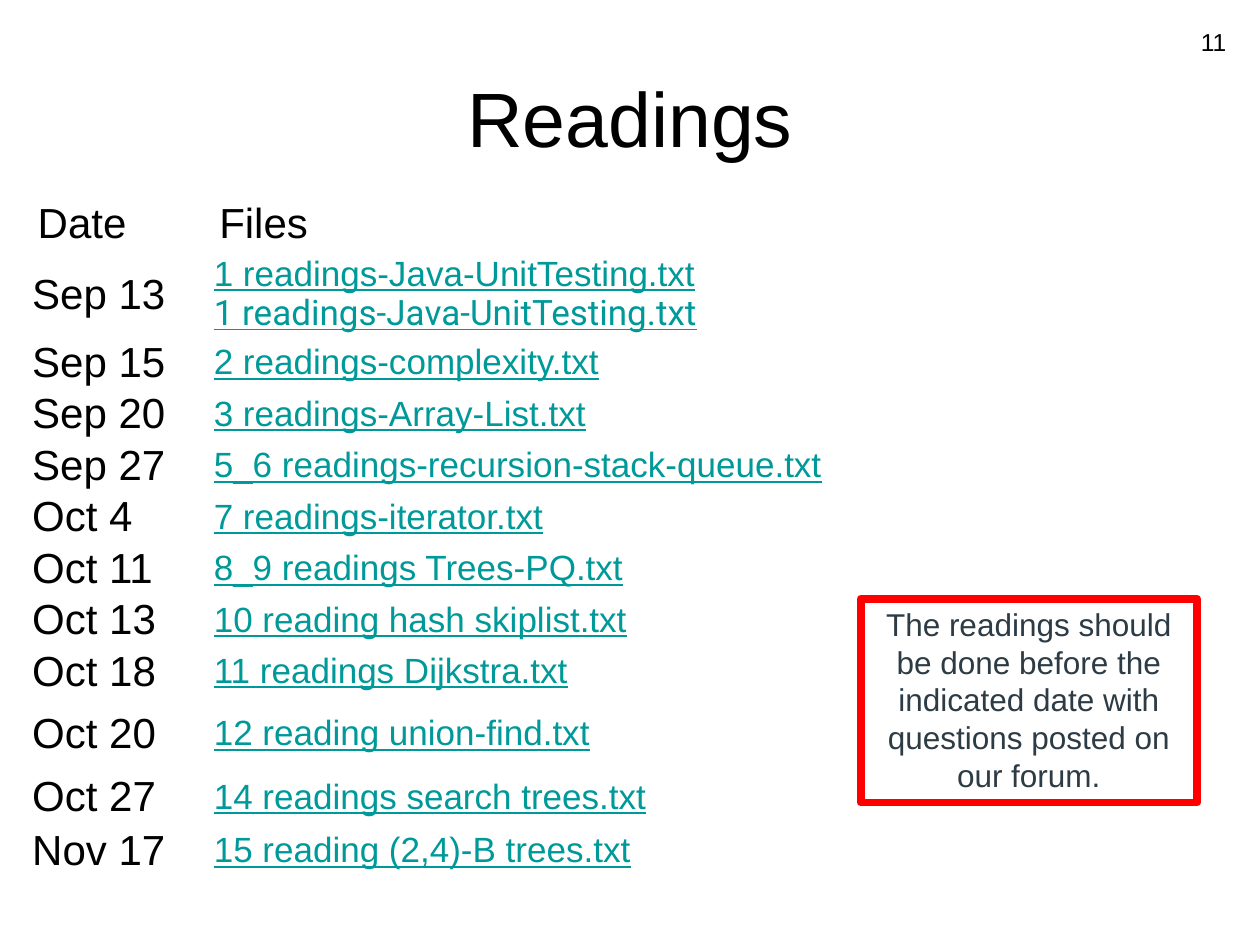
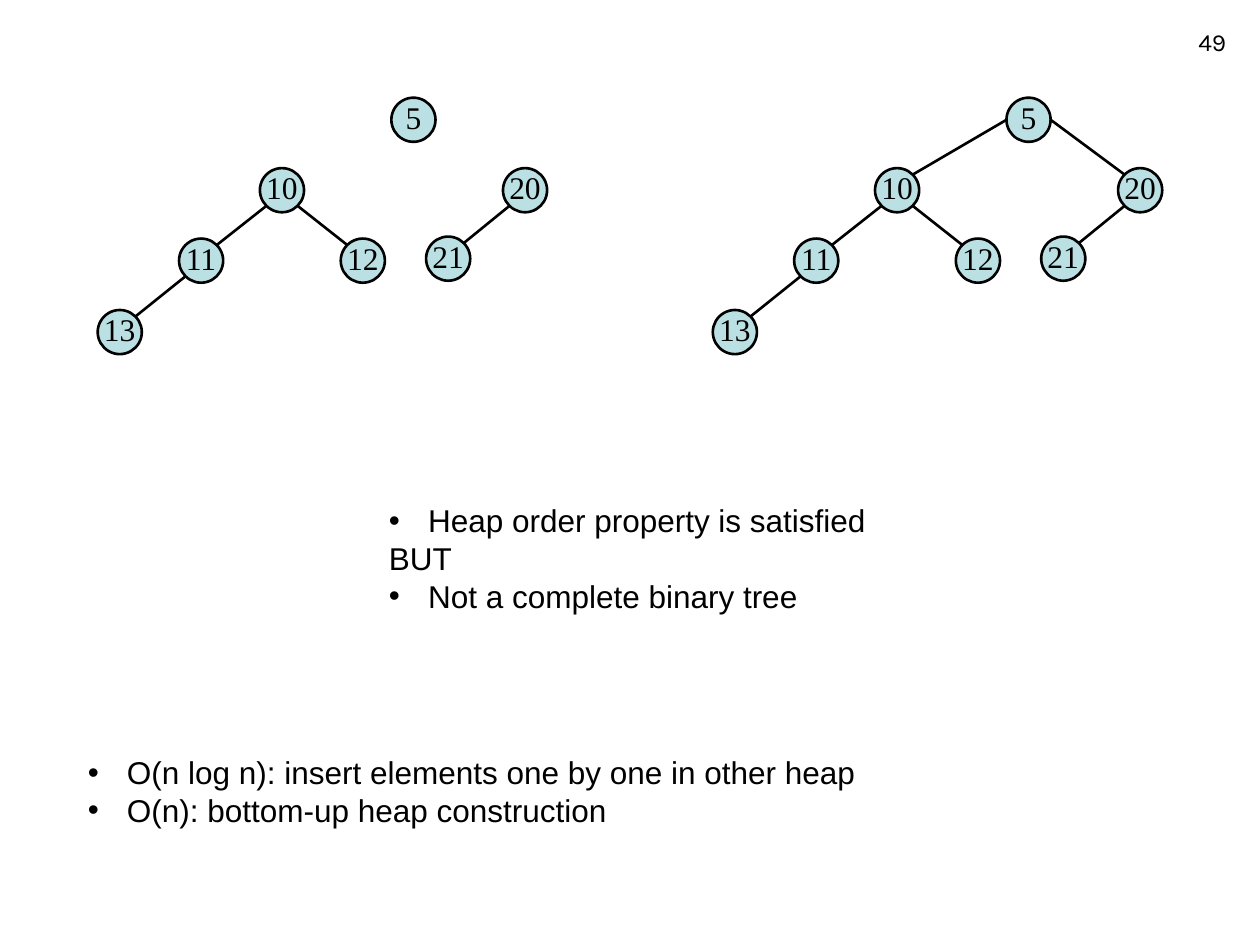
"""Builds two course slides: the reading schedule and a heap merge example."""
from dataclasses import dataclass
from typing import Optional

from lxml import etree
from pptx import Presentation
from pptx import util as u
from pptx.dml.color import RGBColor
from pptx.enum import shapes, text
from pptx.oxml import ns

BLACK, LINK, NODE, RED, SLATE = "000000", "009999", "BBE0E3", "FF0000", "2D3B45"
SANS, SERIF = "Arial", "Times New Roman"
LEFT, CENTER, RIGHT = text.PP_ALIGN.LEFT, text.PP_ALIGN.CENTER, text.PP_ALIGN.RIGHT
TOP, MIDDLE = text.MSO_ANCHOR.TOP, text.MSO_ANCHOR.MIDDLE
PLAIN_TABLE = "{2D5ABB26-0587-4C30-8999-92F81FD0307C}"  # no fill, no grid
DIAMETER = 0.89
INSET = 0.13  # from a node's bounding box to where an edge meets its circle
TREE_SHIFT = 12.4


@dataclass(frozen=True)
class Style:
    """Look of a piece of text."""
    size: float
    color: str = BLACK
    font: str = SANS
    underline: bool = False


@dataclass(frozen=True)
class Reading:
    """One row of the schedule; height in cm."""
    date: str
    files: str
    height: float = 0.99


@dataclass(frozen=True)
class Node:
    """A heap node: key, top-left corner in cm, parent key."""
    key: int
    x: float
    y: float
    parent: Optional[int] = None


BODY, DATE, FILE = Style(18), Style(24), Style(20, LINK, underline=True)

READINGS = [
    Reading("Sep 13", "1 readings-Java-UnitTesting.txt\v1 readings-Java-UnitTesting.txt", 1.68),
    Reading("Sep 15", "2 readings-complexity.txt"),
    Reading("Sep 20", "3 readings-Array-List.txt"),
    Reading("Sep 27", "5_6 readings-recursion-stack-queue.txt"),
    Reading("Oct 4", "7 readings-iterator.txt"),
    Reading("Oct 11", "8_9 readings Trees-PQ.txt"),
    Reading("Oct 13", "10 reading hash skiplist.txt"),
    Reading("Oct 18", "11 readings Dijkstra.txt"),
    Reading("Oct 20", "12 reading union-find.txt", 1.47),
    Reading("Oct 27", "14 readings search trees.txt", 1.08),
    Reading("Nov 17", "15 reading (2,4)-B trees.txt", 1.09),
]

HEAP = [
    Node(5, 7.89, 1.97),
    Node(10, 5.24, 3.39, 5),
    Node(20, 10.14, 3.39, 5),
    Node(11, 3.61, 4.81, 10),
    Node(12, 6.87, 4.81, 10),
    Node(21, 8.59, 4.77, 20),
    Node(13, 1.97, 6.25, 11),
]


def rgb(color: str) -> RGBColor:
    """Turn a hex string into a colour."""
    return RGBColor.from_string(color)


def write(frame, content: str, style: Style, align=LEFT) -> None:
    """Put text in a frame and format every run."""
    frame.text = content
    for paragraph in frame.paragraphs:
        paragraph.alignment = align
        for run in paragraph.runs:
            font = run.font
            font.size, font.name = u.Pt(style.size), style.font
            font.bold, font.underline = False, style.underline
            font.color.rgb = rgb(style.color)


def add_text(slide, box, content: str, style: Style, align=LEFT, anchor=TOP):
    """Add a wrapping text box; box is left, top, width, height in cm."""
    frame = slide.shapes.add_textbox(*map(u.Cm, box)).text_frame
    frame.word_wrap, frame.vertical_anchor = True, anchor
    write(frame, content, style, align)
    return frame


def add_bullet(paragraph) -> None:
    """Give a paragraph a hanging round bullet."""
    properties = paragraph._p.get_or_add_pPr()
    indent = u.Cm(0.79)
    properties.set("marL", str(indent))
    properties.set("indent", str(-indent))
    etree.SubElement(properties, ns.qn("a:buFont"), typeface=SANS)
    etree.SubElement(properties, ns.qn("a:buChar"), char="•")


def add_page(deck, number: int, font: str):
    """Add a blank slide with its number at the top right."""
    slide = deck.slides.add_slide(deck.slide_layouts[6])
    add_text(slide, (19.05, 0.43, 5.92, 1.32), str(number), Style(14, font=font), RIGHT)
    return slide


def fill_cell(cell, content: str, style: Style, side: float, end: float) -> None:
    """Write an unfilled cell with the given side and end margins in cm."""
    cell.fill.background()
    cell.vertical_anchor = MIDDLE
    cell.margin_left = cell.margin_right = u.Cm(side)
    cell.margin_top = cell.margin_bottom = u.Cm(end)
    write(cell.text_frame, content, style)


def add_schedule(slide) -> None:
    """Add the table of dates and files."""
    heading = Reading("Date", "Files", 1.14)
    rows = [heading, *READINGS]
    widths = (3.66, 20.7)
    box = (0.64, 3.94, sum(widths), sum(row.height for row in rows))
    table = slide.shapes.add_table(len(rows), 2, *map(u.Cm, box)).table
    table.first_row = table.horz_banding = False
    table._tbl.tblPr.find(ns.qn("a:tableStyleId")).text = PLAIN_TABLE
    for column, width in zip(table.columns, widths):
        column.width = u.Cm(width)
    for index, row in enumerate(rows):
        table.rows[index].height = u.Cm(row.height)
        is_heading = row is heading
        margins = (0.12, 0.05) if is_heading else (0.01, 0.01)
        fill_cell(table.cell(index, 0), row.date, DATE, *margins)
        fill_cell(table.cell(index, 1), row.files, DATE if is_heading else FILE, *margins)
    repeated_file = table.cell(1, 1).text_frame.paragraphs[0].runs[1]
    repeated_file.font.name = "Roboto"


def add_notice(slide, content: str) -> None:
    """Add the red framed notice."""
    notice = slide.shapes.add_shape(
        shapes.MSO_SHAPE.RECTANGLE, *map(u.Cm, (17.35, 12.07, 6.78, 4.11)))
    notice.shadow.inherit = False
    notice.fill.background()
    notice.line.color.rgb, notice.line.width = rgb(RED), u.Pt(4.5)
    etree.SubElement(notice.line._get_or_add_ln(), ns.qn("a:round"))
    notice.text_frame.word_wrap = True
    notice.text_frame.vertical_anchor = TOP
    write(notice.text_frame, content, Style(18, SLATE), CENTER)


def add_edge(group, parent: Node, child: Node, shift: float) -> None:
    """Join a child to its parent; the root's edges leave from its sides."""
    on_left = child.x < parent.x
    far = DIAMETER - INSET
    start = (child.x + (far if on_left else INSET), child.y + INSET)
    if parent.parent is None:
        end = (parent.x + (0 if on_left else DIAMETER), parent.y + DIAMETER / 2)
    else:
        end = (parent.x + (INSET if on_left else far), parent.y + far)
    edge = group.shapes.add_connector(
        shapes.MSO_CONNECTOR.STRAIGHT,
        u.Cm(start[0] + shift), u.Cm(start[1]), u.Cm(end[0] + shift), u.Cm(end[1]))
    edge.line.color.rgb, edge.line.width = rgb(BLACK), u.Pt(1.5)
    etree.SubElement(edge._element.spPr, ns.qn("a:effectLst"))


def add_node(group, node: Node, shift: float) -> None:
    """Draw one key in its circle."""
    circle = group.shapes.add_shape(
        shapes.MSO_SHAPE.OVAL, *map(u.Cm, (node.x + shift, node.y, DIAMETER, DIAMETER)))
    circle.shadow.inherit = False
    circle.fill.solid()
    circle.fill.fore_color.rgb = rgb(NODE)
    circle.line.color.rgb, circle.line.width = rgb(BLACK), u.Pt(1.5)
    frame = circle.text_frame
    frame.margin_left = frame.margin_right = frame.margin_top = 0
    frame.margin_bottom = u.Cm(0.13)
    frame.word_wrap, frame.vertical_anchor = False, MIDDLE
    write(frame, str(node.key), Style(18, font=SERIF), CENTER)


def add_heap(slide, shift: float, root_joined: bool) -> None:
    """Draw the heap, with or without the edges of its root."""
    group = slide.shapes.add_group_shape()
    by_key = {node.key: node for node in HEAP}
    for node in HEAP:
        parent = by_key.get(node.parent)
        if parent and (root_joined or parent.parent is not None):
            add_edge(group, parent, node, shift)
    for node in HEAP:
        add_node(group, node, shift)


def build_readings(deck) -> None:
    """Build the reading schedule slide."""
    slide = add_page(deck, 11, SANS)
    add_text(slide, (1.27, 0.76, 22.86, 3.18), "Readings", Style(44), CENTER, MIDDLE)
    add_schedule(slide)
    add_notice(slide, "The readings should be done before the indicated date "
                      "with questions posted on our forum.")


def build_merge(deck) -> None:
    """Build the heap merge slide."""
    slide = add_page(deck, 49, "Karla")
    add_heap(slide, 0, root_joined=False)
    add_heap(slide, TREE_SHIFT, root_joined=True)
    verdict = add_text(
        slide, (7.59, 9.98, 10.21, 2.57),
        "Heap order property is satisfied\nBUT\nNot a complete binary tree", BODY)
    costs = add_text(
        slide, (1.52, 15.06, 16.13, 1.8),
        "O(n log n): insert elements one by one in other heap\n"
        "O(n): bottom-up heap construction", BODY)
    for paragraph in (*verdict.paragraphs[::2], *costs.paragraphs):
        add_bullet(paragraph)


def main() -> None:
    """Build and save the deck."""
    deck = Presentation()
    deck.slide_width, deck.slide_height = u.Cm(25.4), u.Cm(19.05)
    build_readings(deck)
    build_merge(deck)
    deck.save("out.pptx")


main()
